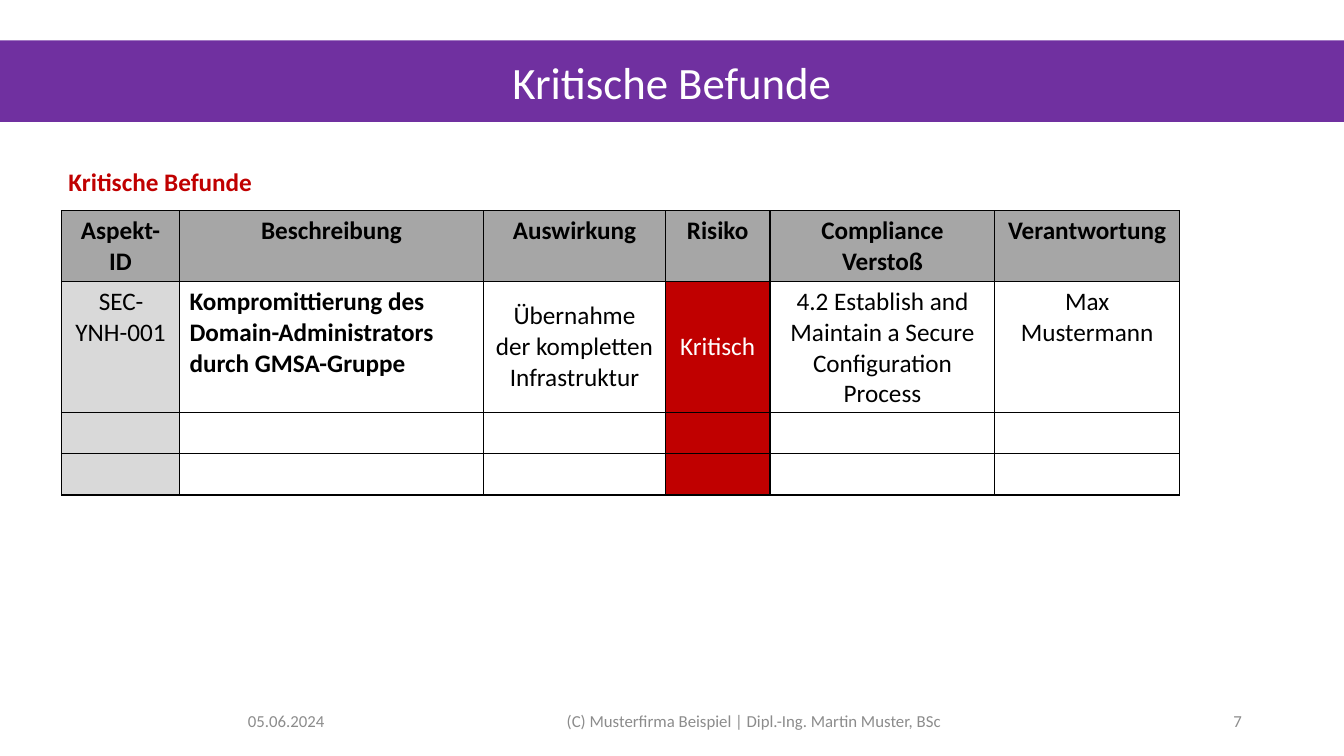
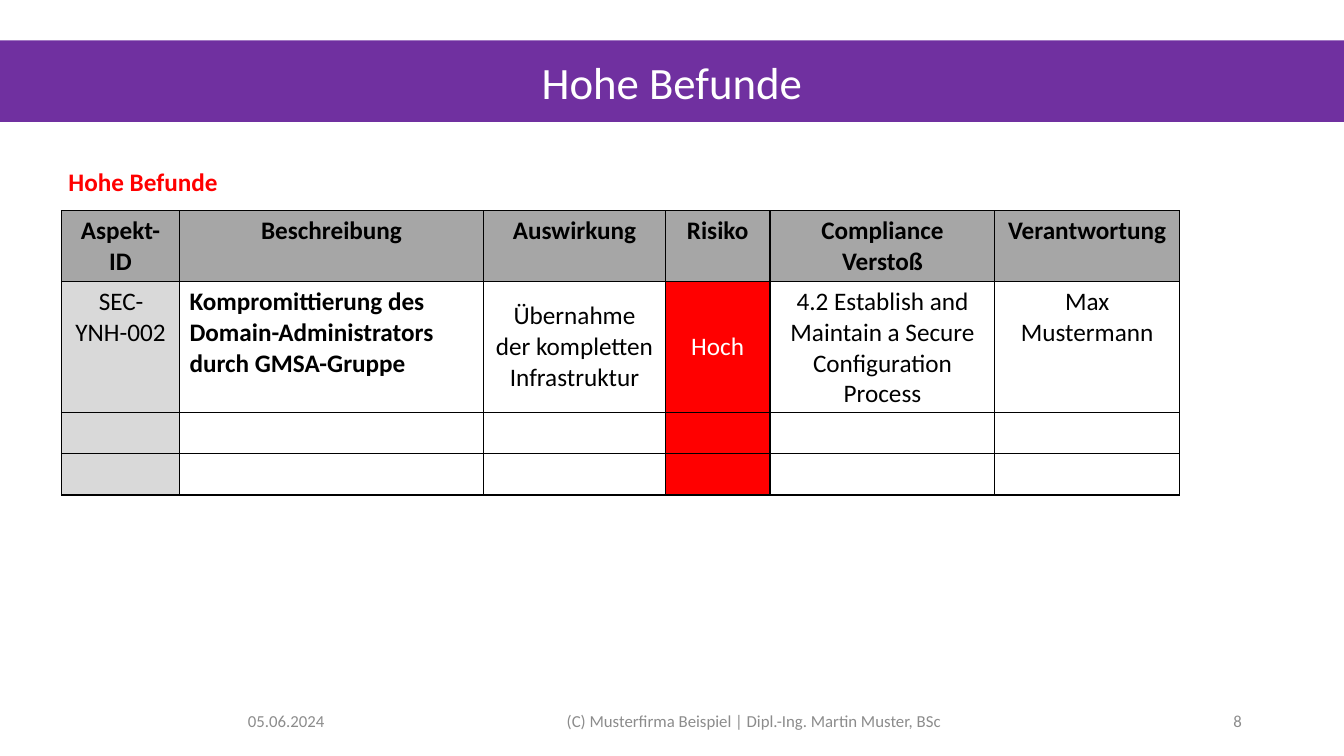
from lxml import etree
from pptx import Presentation
from pptx.dml.color import RGBColor
from pptx.enum.text import MSO_ANCHOR, MSO_AUTO_SIZE, PP_ALIGN
from pptx.oxml.ns import qn
from pptx.util import Pt

LEFT, CENTER, RIGHT = PP_ALIGN.LEFT, PP_ALIGN.CENTER, PP_ALIGN.RIGHT
TOP, MIDDLE = MSO_ANCHOR.TOP, MSO_ANCHOR.MIDDLE
NO_AUTOFIT = MSO_AUTO_SIZE.NONE
TITLE_ONLY = 5

COLORS = {
    "band": "7030A0", "white": "FFFFFF", "black": "000000", "footer": "8C8C8C",
    "header": "A6A6A6", "id": "D9D9D9", "critical": "C00000", "high": "FF0000",
}
FONT = "Calibri"
SLIDE_W, SLIDE_H = 960, 540

# Boxes: left, top, width, height
BAND_BOX = (0, 28.8, SLIDE_W, 58.3)
HEADING_BOX = (41.8, 115.2, 357, 28.8)
TABLE_BOX = (44, 150.5, 798.5, 203)
FOOTER_TOP, FOOTER_H = 500.4, 28.8

COLUMN_WIDTHS = (84.2, 217.4, 129.6, 74.9, 160.6, 131.8)
ROW_HEIGHTS = (50.6, 93.6, 29.4, 29.4)
HEADERS = ("Aspekt-ID", "Beschreibung", "Auswirkung", "Risiko",
           "Compliance Verstoß", "Verantwortung")
ID_COL, DESCRIPTION_COL, IMPACT_COL, RISK_COL = range(4)

DATE = "05.06.2024"
COPYRIGHT = "(C) Musterfirma Beispiel | Dipl.-Ing. Martin Muster, BSc"


def rgb(name):
    return RGBColor.from_string(COLORS[name])


def points(box):
    return [Pt(length) for length in box]


def write(frame, text, size=18, color="black", bold=False, align=LEFT, after=0):
    paragraph = frame.paragraphs[0]
    paragraph.alignment = align
    paragraph.space_after = Pt(after)
    run = paragraph.add_run()
    run.text = text
    run.font.name = FONT
    run.font.size = Pt(size)
    run.font.bold = bold
    run.font.color.rgb = rgb(color)


def add_label(slide, box, text, anchor=TOP, **style):
    frame = slide.shapes.add_textbox(*points(box)).text_frame
    frame.word_wrap = True
    frame.vertical_anchor = anchor
    write(frame, text, **style)


def add_title_band(slide, box, text):
    band = slide.shapes.title
    band.left, band.top, band.width, band.height = points(box)
    band.fill.solid()
    band.fill.fore_color.rgb = rgb("band")
    frame = band.text_frame
    frame.auto_size = NO_AUTOFIT
    frame.vertical_anchor = MIDDLE
    write(frame, text, size=32, color="white", align=CENTER)


def add_footer(slide, top, height, number):
    parts = ((170, 216, DATE, LEFT),
             (376.6, 324, COPYRIGHT, CENTER),
             (678.2, 216, str(number), RIGHT))
    for left, width, text, align in parts:
        add_label(slide, (left, top, width, height), text, anchor=MIDDLE,
                  size=12, color="footer", align=align, after=6)


def add_borders(cell):
    properties = cell._tc.get_or_add_tcPr()
    for index, side in enumerate(("a:lnL", "a:lnR", "a:lnT", "a:lnB")):
        line = etree.Element(qn(side), w=str(Pt(1)))
        fill = etree.SubElement(line, qn("a:solidFill"))
        etree.SubElement(fill, qn("a:srgbClr"), val=COLORS["black"])
        properties.insert(index, line)  # borders precede the fill


def format_cell(cell, text, row, col, risk_color):
    is_header = row == 0
    column_fills = {ID_COL: "id", RISK_COL: risk_color}
    cell.fill.solid()
    cell.fill.fore_color.rgb = rgb(
        "header" if is_header else column_fills.get(col, "white"))
    add_borders(cell)
    is_centered = not is_header and col in (IMPACT_COL, RISK_COL)
    cell.vertical_anchor = MIDDLE if is_centered else TOP
    is_description = not is_header and col == DESCRIPTION_COL
    write(cell.text_frame, text,
          bold=is_header or is_description,
          align=LEFT if is_description else CENTER,
          color="white" if not is_header and col == RISK_COL else "black")


def add_findings_table(slide, box, finding, risk_color):
    blank = ("",) * len(HEADERS)
    rows = (HEADERS, finding, blank, blank)
    table = slide.shapes.add_table(len(rows), len(HEADERS), *points(box)).table
    table.first_row = table.horz_banding = False
    for column, width in zip(table.columns, COLUMN_WIDTHS):
        column.width = Pt(width)
    for row, height in zip(table.rows, ROW_HEIGHTS):
        row.height = Pt(height)
    for r, texts in enumerate(rows):
        for c, text in enumerate(texts):
            format_cell(table.cell(r, c), text, r, c, risk_color)


def add_findings_slide(prs, number, title, aspect_id, risk, risk_color):
    slide = prs.slides.add_slide(prs.slide_layouts[TITLE_ONLY])
    finding = (aspect_id,
               "Kompromittierung des Domain-Administrators durch GMSA-Gruppe",
               "Übernahme der kompletten Infrastruktur",
               risk,
               "4.2 Establish and Maintain a Secure Configuration Process",
               "Max Mustermann")
    add_title_band(slide, BAND_BOX, title)
    add_label(slide, HEADING_BOX, title, color=risk_color, bold=True)
    add_findings_table(slide, TABLE_BOX, finding, risk_color)
    add_footer(slide, FOOTER_TOP, FOOTER_H, number)


def main():
    prs = Presentation()
    prs.slide_width, prs.slide_height = Pt(SLIDE_W), Pt(SLIDE_H)
    add_findings_slide(prs, 7, "Kritische Befunde", "SEC-YNH-001", "Kritisch", "critical")
    add_findings_slide(prs, 8, "Hohe Befunde", "SEC-YNH-002", "Hoch", "high")
    prs.save("out.pptx")


if __name__ == "__main__":
    main()
